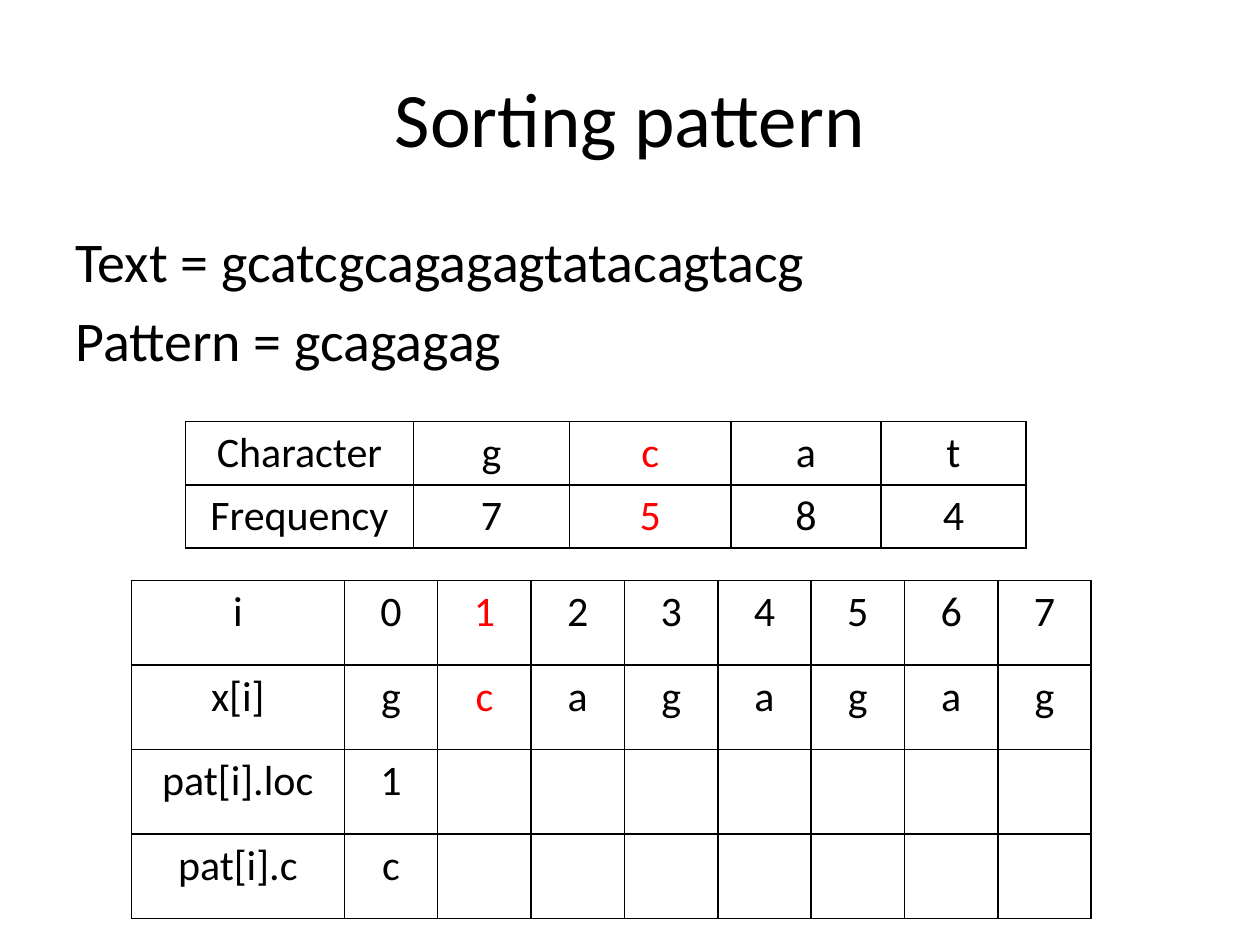
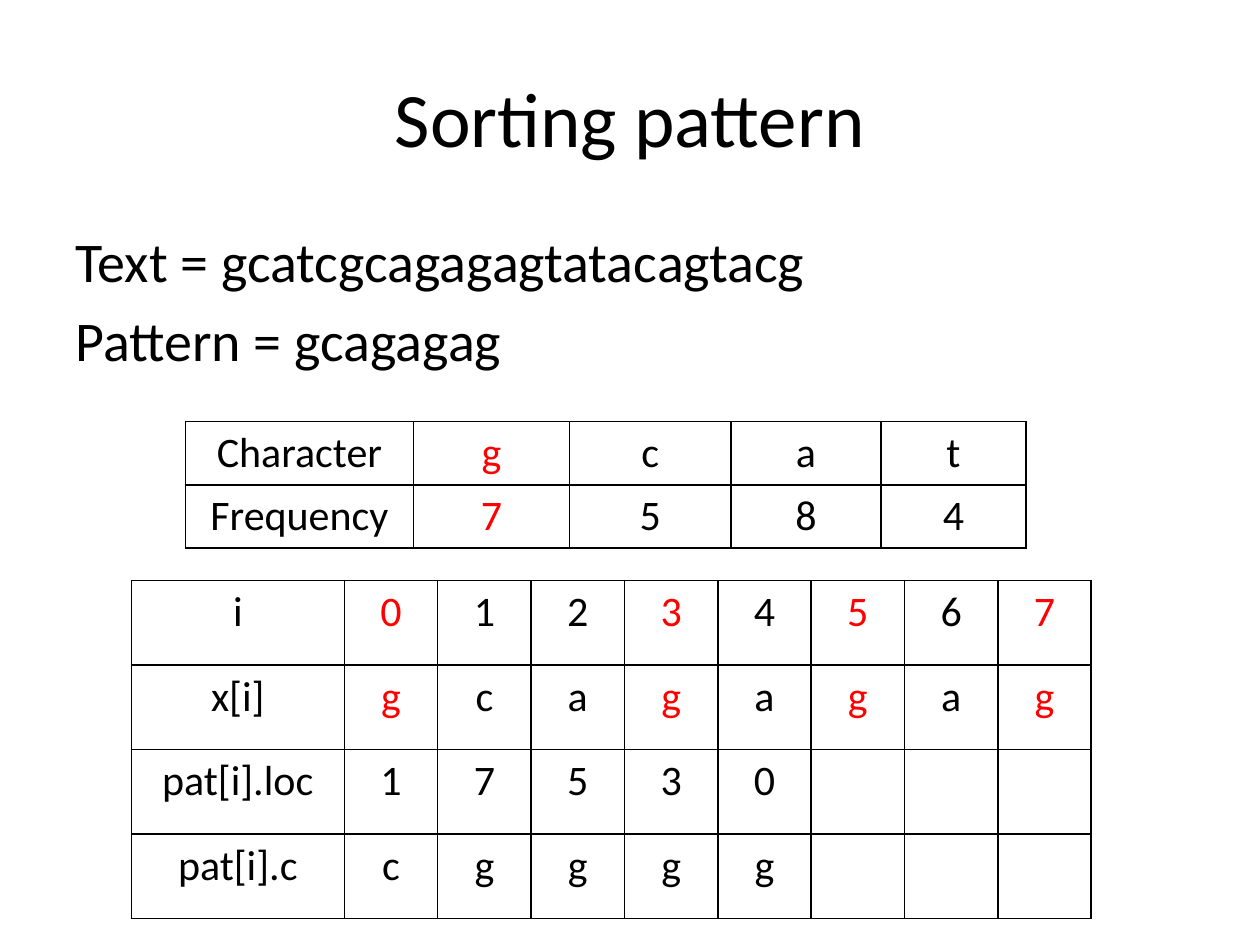
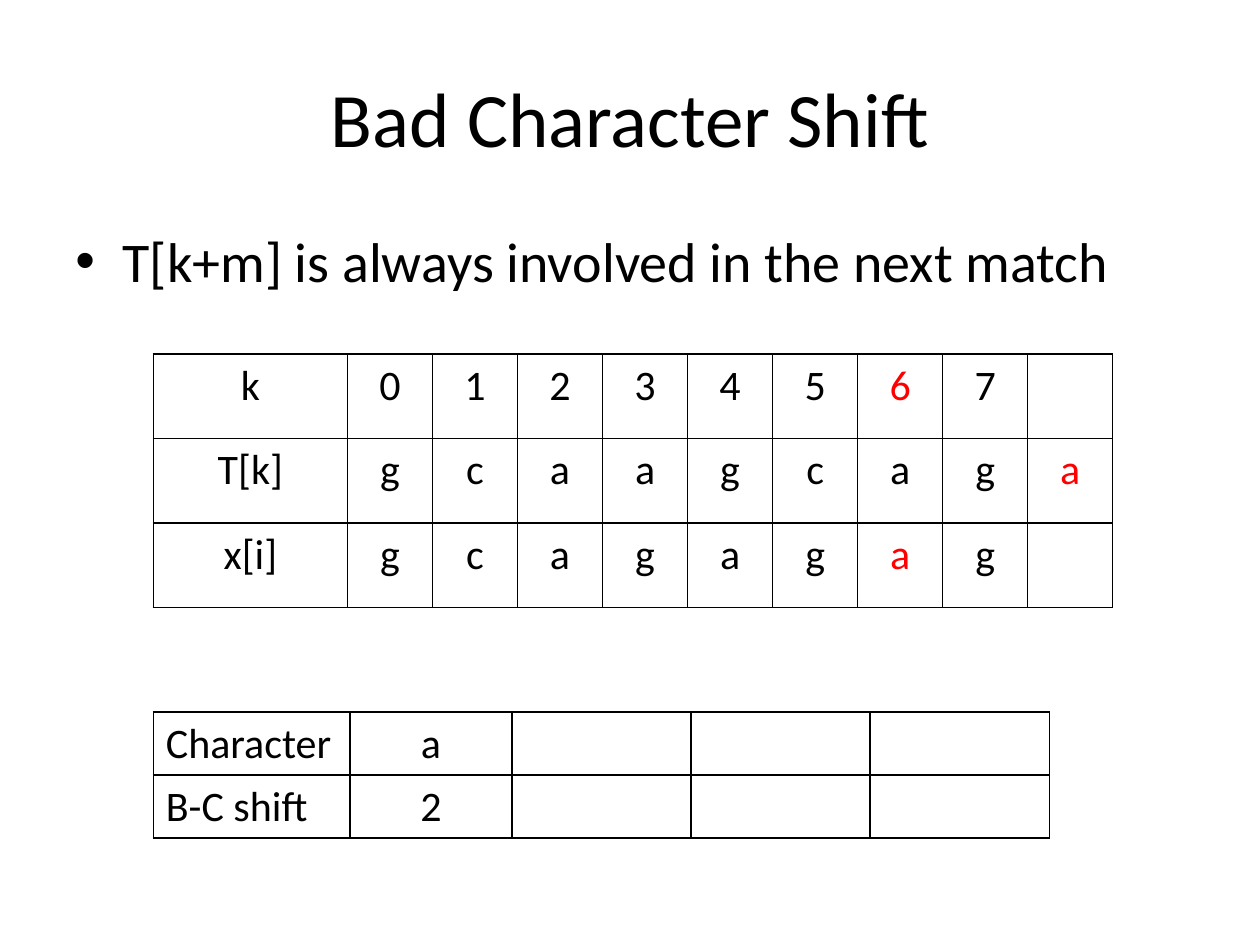
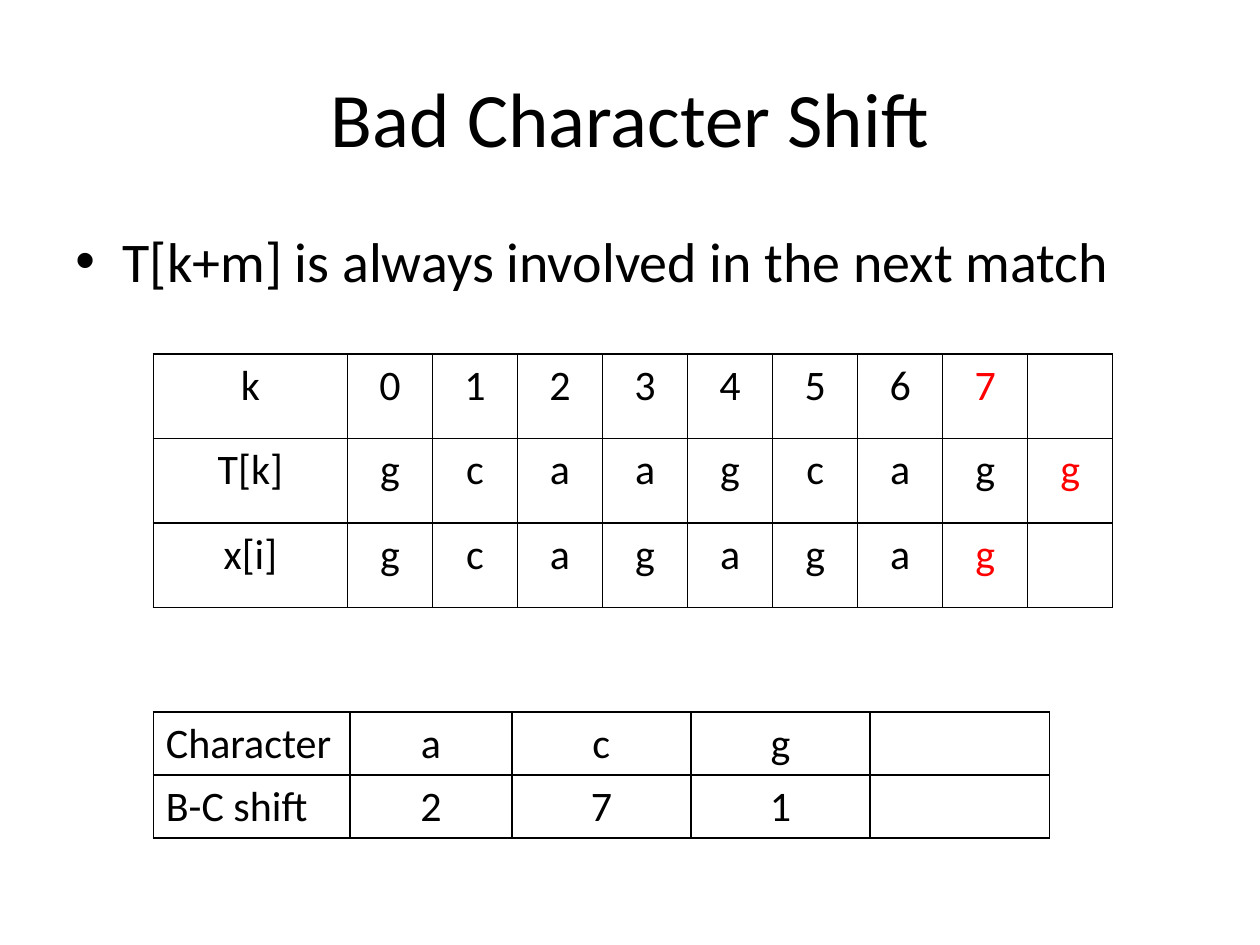
from itertools import product

from lxml.etree import SubElement
from pptx import Presentation
from pptx.dml.color import RGBColor
from pptx.enum.text import MSO_ANCHOR, PP_ALIGN
from pptx.oxml.ns import qn
from pptx.util import Pt

BLACK = RGBColor(0x00, 0x00, 0x00)
RED = RGBColor(0xFF, 0x00, 0x00)
WHITE = RGBColor(0xFF, 0xFF, 0xFF)


class Deck:
    font_name = "Calibri"
    title_size, body_size, cell_size = 44, 32, 24
    border_width = 1

    def __init__(self):
        self.presentation = Presentation()
        self.presentation.slide_width = Pt(720)
        self.presentation.slide_height = Pt(540)
        self.slide = None

    def format(self, paragraph, size, color=BLACK, align=PP_ALIGN.LEFT):
        paragraph.alignment = align
        paragraph.font.name = self.font_name
        paragraph.font.size = Pt(size)
        paragraph.font.color.rgb = color

    def start_slide(self, heading):
        self.slide = self.presentation.slides.add_slide(self.presentation.slide_layouts[5])
        self.slide.background.fill.solid()
        self.slide.background.fill.fore_color.rgb = WHITE
        title = self.slide.shapes.title
        title.left, title.top, title.width, title.height = Pt(36), Pt(21.6), Pt(648), Pt(90)
        title.text_frame.text = heading
        title.text_frame.vertical_anchor = MSO_ANCHOR.MIDDLE
        self.format(title.text_frame.paragraphs[0], self.title_size, align=PP_ALIGN.CENTER)

    def body(self, lines, bulleted=False):
        frame = self.slide.shapes.add_textbox(Pt(36), Pt(126), Pt(648), Pt(356.4)).text_frame
        frame.word_wrap = True
        frame.text = "\n".join(lines)
        for paragraph in frame.paragraphs:
            self.format(paragraph, self.body_size)
            paragraph.space_before = Pt(6.4)
            if bulleted:
                self.bullet(paragraph)

    def bullet(self, paragraph):
        properties = paragraph.font._element.getparent()
        properties.set("marL", str(Pt(27)))
        properties.set("indent", str(Pt(-27)))
        typeface = properties.makeelement(qn("a:buFont"), {"typeface": "Arial"})
        character = properties.makeelement(qn("a:buChar"), {"char": "•"})
        paragraph.font._element.addprevious(typeface)
        paragraph.font._element.addprevious(character)

    def grid(self, left, top, widths, row_height, rows, marked=(), label_align=PP_ALIGN.CENTER):
        table = self.slide.shapes.add_table(
            len(rows), len(widths), Pt(left), Pt(top), Pt(sum(widths)), Pt(row_height * len(rows))
        ).table
        table.first_row = table.horz_banding = False
        for column, width in zip(table.columns, widths):
            column.width = Pt(width)
        for row in table.rows:
            row.height = Pt(row_height)
        for r, c in product(range(len(rows)), range(len(widths))):
            cell = table.cell(r, c)
            cell.text = rows[r][c] if c < len(rows[r]) else ""
            color = RED if (r, c) in marked else BLACK
            align = PP_ALIGN.CENTER if c else label_align
            self.format(cell.text_frame.paragraphs[0], self.cell_size, color, align)
            self.borders(cell)
            cell.fill.background()

    def borders(self, cell):
        properties = cell._tc.get_or_add_tcPr()
        for side in ("a:lnL", "a:lnR", "a:lnT", "a:lnB"):
            line = SubElement(properties, qn(side), w=str(Pt(self.border_width)))
            fill = SubElement(line, qn("a:solidFill"))
            SubElement(fill, qn("a:srgbClr"), val=str(BLACK))


def sorting_slide(deck, frequency_column, pattern_columns, locations, characters):
    deck.start_slide("Sorting pattern")
    deck.body(["Text = gcatcgcagagagtatacagtacg", "Pattern = gcagagag"])
    deck.grid(
        106, 241, [130.3, 89.2, 92.2, 85.8, 82.8], 36,
        [["Character", *"gcat"], ["Frequency", *"7584"]],
        set(product((0, 1), (frequency_column,))),
    )
    deck.grid(
        75, 331.8, [121.8] + [53.35] * 8, 48.25,
        [
            ["i", *"01234567"],
            ["x[i]", *"gcagagag"],
            ["pat[i].loc", *locations],
            ["pat[i].c", *characters],
        ],
        set(product((0, 1), pattern_columns)),
    )


def shift_slide(deck, next_character, match_column, characters, shifts):
    deck.start_slide("Bad Character Shift")
    deck.body(["T[k+m] is always involved in the next match"], bulleted=True)
    deck.grid(
        87.6, 202.3, [111] + [48.6] * 9, 48.25,
        [["k", *"01234567"], ["T[k]", *"gcaagcag", next_character], ["x[i]", *"gcagagag"]],
        {(0, match_column), (1, 9), (2, match_column)},
    )
    deck.grid(
        87.6, 406.8, [112.5, 92.4] + [102.4] * 3, 36,
        [["Character", *characters], ["B-C shift", *shifts]],
        label_align=PP_ALIGN.LEFT,
    )


deck = Deck()
sorting_slide(deck, 2, (2,), "1", "c")
sorting_slide(deck, 1, (1, 4, 6, 8), "17530", "cgggg")
shift_slide(deck, "a", 7, "a", "2")
shift_slide(deck, "g", 8, "acg", "271")
deck.presentation.save("out.pptx")
